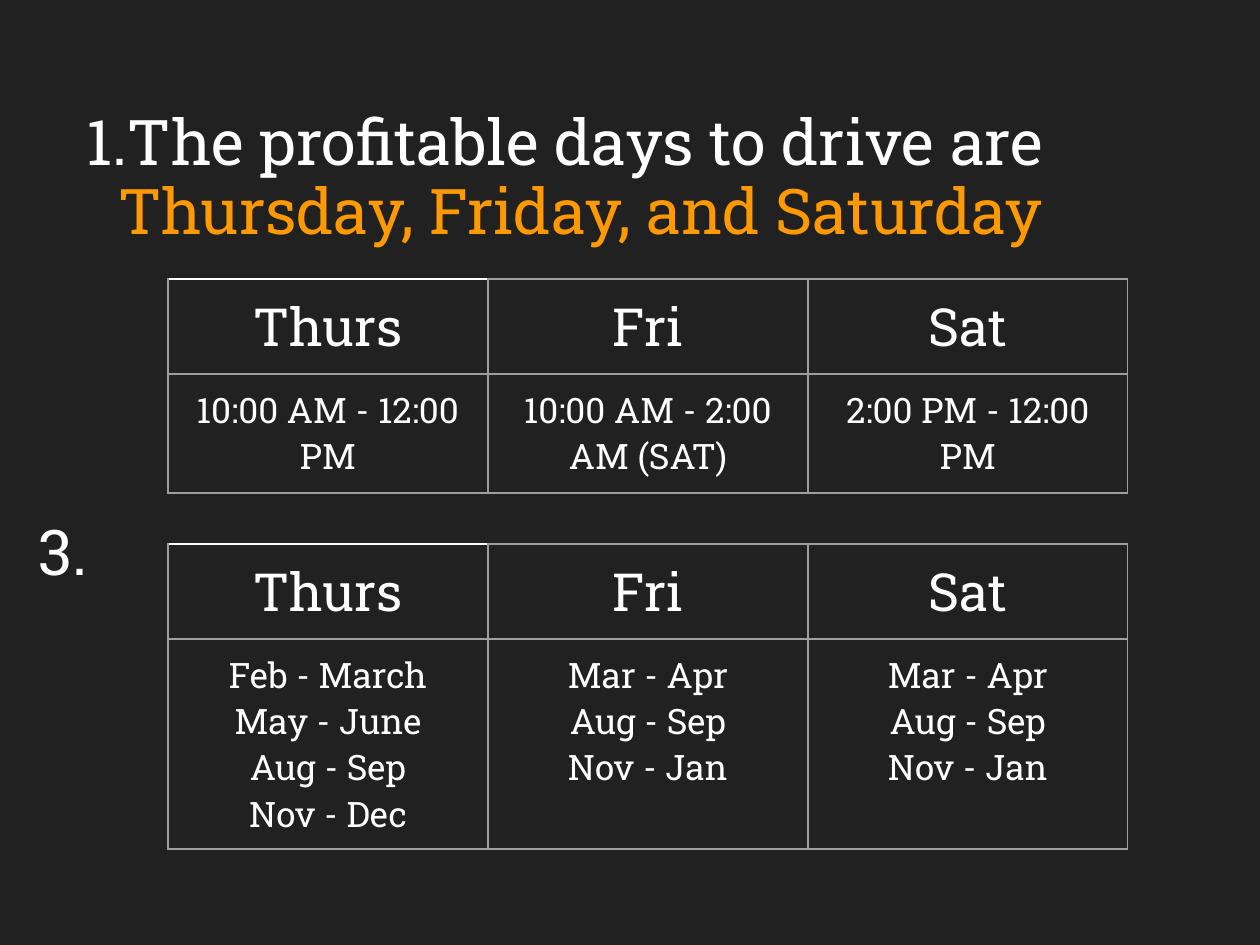
from lxml import etree
from pptx import Presentation
from pptx import util as u
from pptx.dml.color import RGBColor
from pptx.enum import text
from pptx.oxml.ns import qn

COLORS = {"background": "212121", "white": "FFFFFF", "accent": "FF9900", "border": "9E9E9E"}
FONT = "Roboto Slab"
PX = u.Inches(1) // 126
INSET = u.Inches(0.1)

TITLE = [("The profitable days to drive are ", "white"),
         ("Thursday, Friday, and Saturday", "accent")]
DAYS = ["Thurs", "Fri", "Sat"]
HOURS = ["10:00 AM - 12:00 PM", "10:00 AM - 2:00 AM (SAT)", "2:00 PM - 12:00 PM"]
MONTHS = ["Feb - March\nMay - June\nAug - Sep\nNov - Dec",
          "Mar - Apr\nAug - Sep\nNov - Jan",
          "Mar - Apr\nAug - Sep\nNov - Jan"]

TABLE_LEFT, COLUMN_WIDTH, HEADER_HEIGHT = 168, 320, 95
TABLES = [(279, 119, HOURS), (544, 210, MONTHS)]  # top, body height, body texts


def style_run(run, size, color="white"):
    run.font.name = FONT
    run.font.size = u.Pt(size)
    run.font.bold = False
    run.font.color.rgb = RGBColor.from_string(COLORS[color])


def add_text_box(slide, left, top, width, height):
    box = slide.shapes.add_textbox(left * PX, top * PX, width * PX, height * PX)
    frame = box.text_frame
    frame.word_wrap = True
    frame.margin_left = frame.margin_right = INSET
    frame.margin_top = frame.margin_bottom = INSET
    return frame.paragraphs[0]


def number_paragraph(paragraph):
    """Turn on automatic numbering with a hanging indent."""
    properties = paragraph._p.get_or_add_pPr()
    properties.set("marL", str(u.Inches(0.5)))
    properties.set("indent", str(-u.Inches(0.25)))
    bullet_color = etree.SubElement(properties, qn("a:buClr"))
    etree.SubElement(bullet_color, qn("a:srgbClr"), val=COLORS["white"])
    etree.SubElement(properties, qn("a:buFont"), typeface=FONT)
    etree.SubElement(properties, qn("a:buAutoNum"), type="arabicPeriod")


def add_borders(cell, top_color):
    properties = cell._tc.get_or_add_tcPr()
    for side in "LRTB":
        line = etree.SubElement(properties, qn(f"a:ln{side}"), w=str(u.Pt(0.75)))
        fill = etree.SubElement(line, qn("a:solidFill"))
        color = top_color if side == "T" else "border"
        etree.SubElement(fill, qn("a:srgbClr"), val=COLORS[color])


def fill_cell(cell, content, size, top_color):
    add_borders(cell, top_color)
    cell.fill.background()
    cell.margin_left = cell.margin_right = INSET
    cell.margin_top = cell.margin_bottom = INSET
    cell.text_frame.text = content
    for paragraph in cell.text_frame.paragraphs:
        paragraph.alignment = text.PP_ALIGN.CENTER
        for run in paragraph.runs:
            style_run(run, size)


def add_day_table(slide, top, body_height, body):
    heights = [HEADER_HEIGHT, body_height]
    frame = slide.shapes.add_table(2, len(DAYS), TABLE_LEFT * PX, top * PX,
                                   COLUMN_WIDTH * len(DAYS) * PX, sum(heights) * PX)
    table = frame.table
    table.first_row = table.horz_banding = False
    for column in table.columns:
        column.width = COLUMN_WIDTH * PX
    for row, height in zip(table.rows, heights):
        row.height = height * PX
    for row_index, (contents, size) in enumerate([(DAYS, 30), (body, 20)]):
        for column_index, content in enumerate(contents):
            top_color = "white" if row_index == column_index == 0 else "border"
            fill_cell(table.cell(row_index, column_index), content, size, top_color)


def main():
    presentation = Presentation()
    presentation.slide_width, presentation.slide_height = 1260 * PX, 945 * PX
    slide = presentation.slides.add_slide(presentation.slide_layouts[6])
    background = slide.background.fill
    background.solid()
    background.fore_color.rgb = RGBColor.from_string(COLORS["background"])

    title = add_text_box(slide, 43, 99, 1174, 176)
    number_paragraph(title)
    title.line_spacing = 0.9
    for content, color in TITLE:
        run = title.add_run()
        run.text = content
        style_run(run, 36, color)

    marker = add_text_box(slide, 26, 500, 1057, 118)
    marker.text = "3."
    style_run(marker.runs[0], 36)

    for top, body_height, body in TABLES:
        add_day_table(slide, top, body_height, body)
    presentation.save("out.pptx")


if __name__ == "__main__":
    main()
